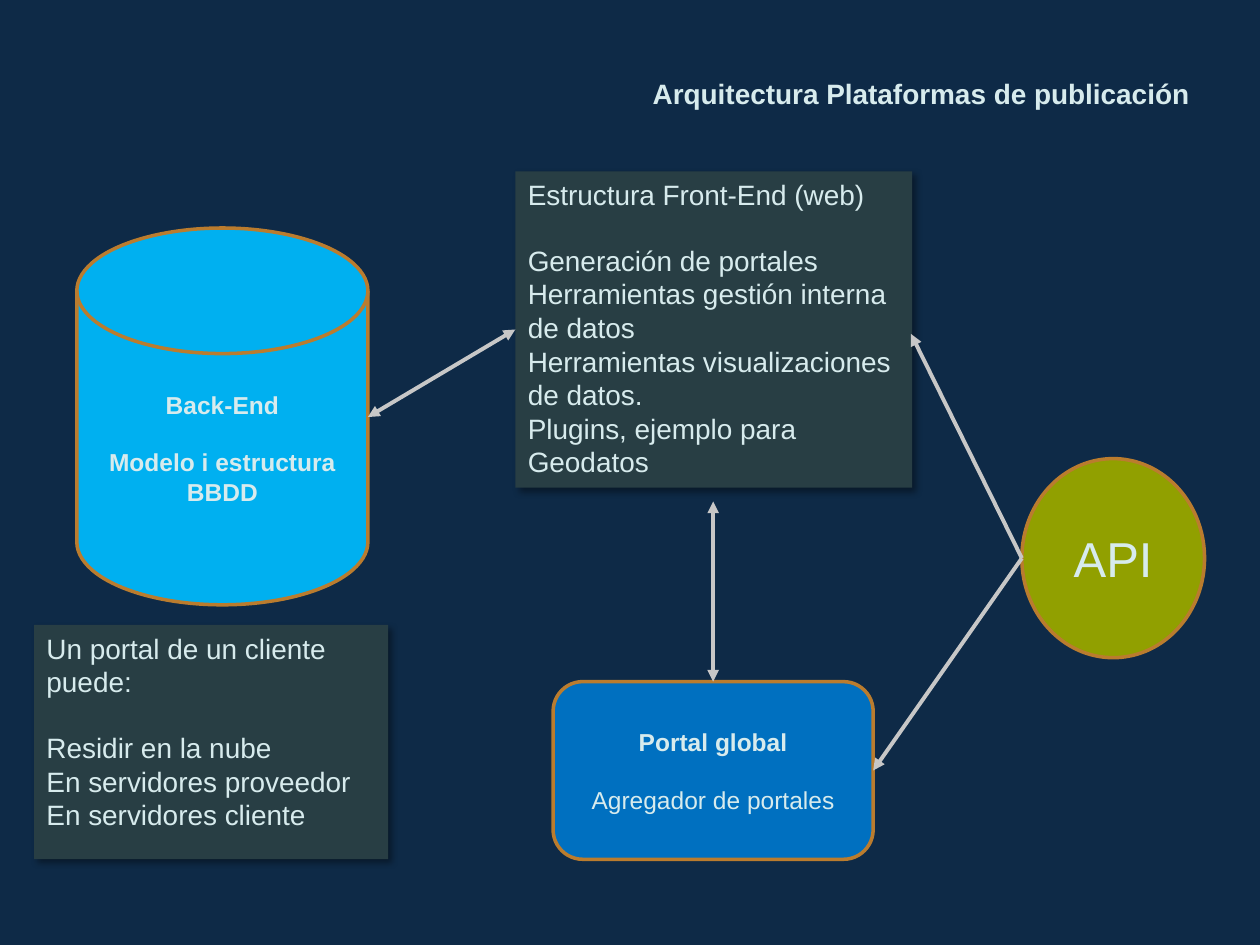
from lxml.etree import SubElement
from pptx import Presentation
from pptx.dml.color import RGBColor
from pptx.enum.shapes import MSO_CONNECTOR as LINE, MSO_SHAPE as SHAPE
from pptx.enum.text import MSO_ANCHOR as ANCHOR, MSO_AUTO_SIZE as FIT, PP_ALIGN as ALIGN
from pptx.oxml.ns import qn
from pptx.util import Inches, Pt

FONT = "Arial"
LINE_HEIGHT = 1.15
COLORS = {
    "background": "0E2A47",
    "text": "D7EBED",
    "outline": "BA7C2E",
    "arrow": "C7C7C7",
    "database": "00B0F0",
    "panel": "283E44",
    "api": "91A000",
    "portal": "0070C0",
    "shadow": "000000",
}


def color(name):
    return RGBColor.from_string(COLORS[name])


def write(box, lines, size, align=ALIGN.LEFT, anchor=ANCHOR.TOP, wrap=True):
    """Write (text, bold) lines, with a gap of one line after the first."""
    frame = box.text_frame
    frame.word_wrap = wrap
    frame.auto_size = FIT.NONE
    frame.vertical_anchor = anchor
    for index, (text, bold) in enumerate(lines):
        para = frame.paragraphs[0] if index == 0 else frame.add_paragraph()
        para.alignment = align
        para.space_before = Pt(round(size * LINE_HEIGHT, 1) if index == 1 else 0)
        span = para.add_run()
        span.text = text
        span.font.name = FONT
        span.font.size = Pt(size)
        span.font.bold = bold
        span.font.color.rgb = color("text")


def add_title(page, text):
    title = page.shapes.title
    title.left, title.top = Inches(5.08), Inches(0.56)
    title.width, title.height = Inches(4.48), Inches(0.5)
    write(title, [(text, True)], 16, wrap=False)


def add_filled(page, preset, place, fill):
    box = page.shapes.add_shape(preset, *map(Inches, place))
    box.shadow.inherit = False
    box.fill.solid()
    box.fill.fore_color.rgb = color(fill)
    return box


def add_node(page, preset, place, fill, lines, size=14):
    """Add an outlined component with centred text."""
    node = add_filled(page, preset, place, fill)
    node.line.color.rgb = color("outline")
    node.line.width = Pt(2)
    write(node, lines, size, ALIGN.CENTER, ANCHOR.MIDDLE)
    return node


def add_panel(page, place, lines):
    """Add a dark text panel with a soft shadow."""
    panel = add_filled(page, SHAPE.RECTANGLE, place, "panel")
    panel.line.fill.background()
    effects = panel._element.spPr.find(qn("a:effectLst"))
    shadow = SubElement(effects, qn("a:outerShdw"), blurRad=str(Pt(4)),
                        dist=str(Pt(3)), dir=str(45 * 60000), rotWithShape="0")
    tint = SubElement(shadow, qn("a:srgbClr"), val=COLORS["shadow"])
    SubElement(tint, qn("a:alpha"), val="40000")
    write(panel, [(line, False) for line in lines], 16)
    return panel


def add_arrow(page, start, end, both_ends=False):
    arrow = page.shapes.add_connector(LINE.STRAIGHT, *map(Inches, start + end))
    arrow.line.color.rgb = color("arrow")
    arrow.line.width = Pt(2.25)
    stroke = arrow.line._get_or_add_ln()
    for tag in ("a:headEnd", "a:tailEnd") if both_ends else ("a:tailEnd",):
        SubElement(stroke, qn(tag), type="triangle")
    SubElement(arrow._element.spPr, qn("a:effectLst"))
    return arrow


def main():
    deck = Presentation()
    deck.slide_width, deck.slide_height = Inches(10), Inches(7.5)
    page = deck.slides.add_slide(deck.slide_layouts[5])
    page.background.fill.solid()
    page.background.fill.fore_color.rgb = color("background")

    add_title(page, "Arquitectura Plataformas de publicación")
    add_node(page, SHAPE.FLOWCHART_MAGNETIC_DISK, (0.61, 1.81, 2.31, 2.99), "database",
             [("Back-End", True), ("Modelo i estructura BBDD", True)])
    add_panel(page, (0.27, 4.96, 2.81, 1.86), [
        "Un portal de un cliente puede:",
        "Residir en la nube",
        "En servidores proveedor",
        "En servidores cliente",
    ])
    front_end = add_panel(page, (4.09, 1.36, 3.15, 2.51), [
        "Estructura Front-End (web)",
        "Generación de portales",
        "Herramientas gestión interna de datos",
        "Herramientas visualizaciones de datos.",
        "Plugins, ejemplo para Geodatos",
    ])
    add_node(page, SHAPE.OVAL, (8.11, 3.64, 1.45, 1.58), "api", [("API", False)], 28)
    portal = add_node(page, SHAPE.ROUNDED_RECTANGLE, (4.39, 5.41, 2.54, 1.41), "portal",
                      [("Portal global", True), ("Agregador de portales", False)])

    api_left = (8.11, 4.43)
    add_arrow(page, (2.92, 3.31), (4.09, 2.61), True).end_connect(front_end, 1)
    add_arrow(page, (5.66, 3.98), (5.66, 5.41), True).end_connect(portal, 0)
    add_arrow(page, api_left, (7.23, 2.65))
    add_arrow(page, api_left, (6.93, 6.11)).end_connect(portal, 3)

    deck.save("out.pptx")


if __name__ == "__main__":
    main()
